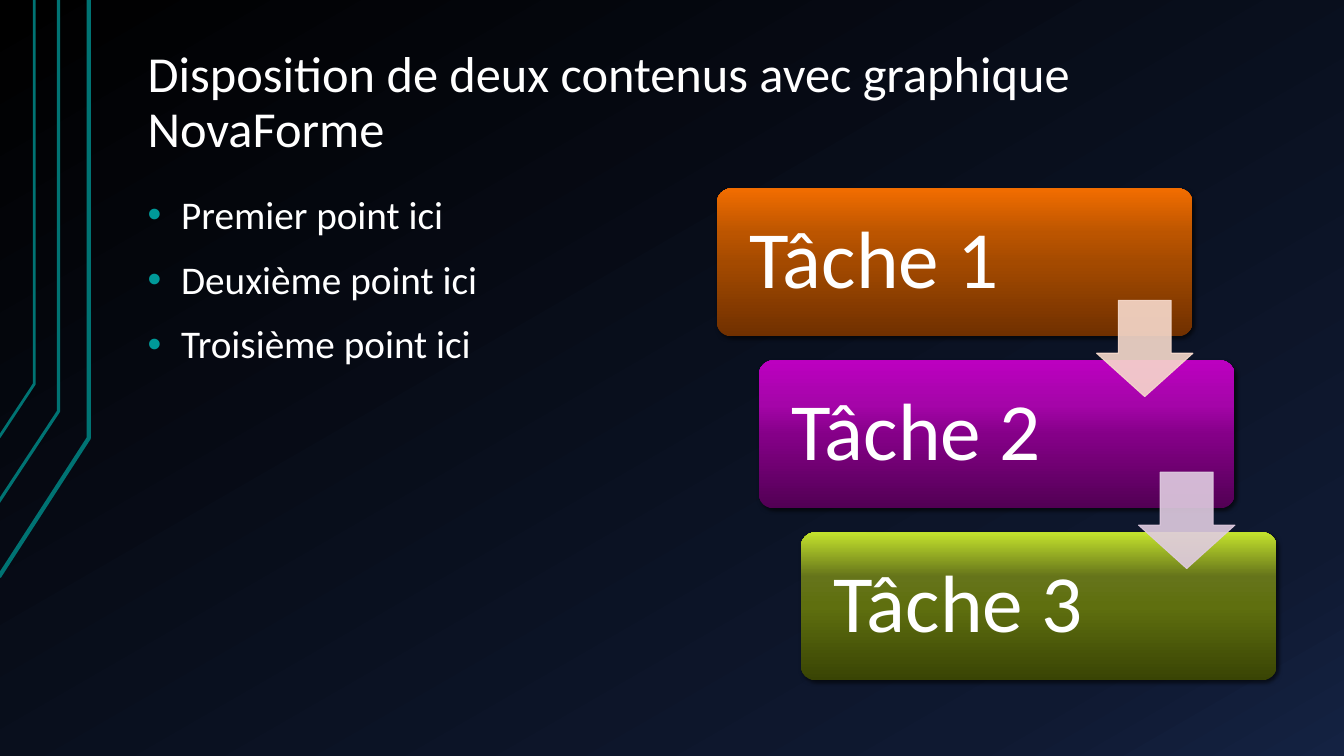
import pptx
import pptx.dml.color
import pptx.enum.shapes
import pptx.enum.text
import pptx.oxml
import pptx.oxml.ns
import pptx.util
from lxml import etree

Pt = pptx.util.Pt
qn = pptx.oxml.ns.qn
Shapes = pptx.enum.shapes.MSO_SHAPE
Anchor = pptx.enum.text.MSO_ANCHOR
WHITE, TEAL, BULLET = "FFFFFF", "007373", "009999"


def color(code):
    return pptx.dml.color.RGBColor.from_string(code)


def add_node(parent, tag, **attributes):
    node = etree.SubElement(parent, qn(tag))
    for name, value in attributes.items():
        node.set(name, str(value))
    return node


def set_alpha(holder, percent):
    for code in holder.iter(qn("a:srgbClr")):
        add_node(code, "a:alpha", val=percent * 1000)


def paint_gradient(fill, owner, stops, angle):
    fill.gradient()
    gradient = next(owner.iter(qn("a:gradFill")))
    stop_list = gradient.find(qn("a:gsLst"))
    for stop in list(stop_list):
        stop_list.remove(stop)
    for position, code in stops:
        stop = add_node(stop_list, "a:gs", pos=position * 1000)
        add_node(stop, "a:srgbClr", val=code)
    gradient.find(qn("a:lin")).set("ang", str(angle * 60000))


class Painter:
    font = "Calibri"

    def __init__(self, page):
        self.page = page

    def background(self, stops, angle):
        paint_gradient(self.page.background.fill, self.page.element, stops, angle)

    def fill_text(self, shape, lines, size, anchor, insets, bullet=None):
        frame = shape.text_frame
        frame.word_wrap = True
        frame.vertical_anchor = anchor
        frame.margin_left = frame.margin_right = Pt(insets[0])
        frame.margin_top = frame.margin_bottom = Pt(insets[1])
        for index, line in enumerate(lines):
            para = frame.add_paragraph() if index else frame.paragraphs[0]
            para.alignment = pptx.enum.text.PP_ALIGN.LEFT
            para.line_spacing = 0.9
            if bullet:
                para.space_before = Pt(16)
                properties = para._p.get_or_add_pPr()
                properties.set("marL", str(Pt(24)))
                properties.set("indent", str(-Pt(24)))
                add_node(add_node(properties, "a:buClr"), "a:srgbClr", val=bullet)
                add_node(properties, "a:buFont", typeface="Arial")
                add_node(properties, "a:buChar", char="•")
            span = para.add_run()
            span.text = line
            span.font.name = self.font
            span.font.size = Pt(size)
            span.font.color.rgb = color(WHITE)

    def text(self, place, lines, size, anchor, bullet=None):
        box = self.page.shapes.add_textbox(*map(Pt, place))
        self.fill_text(box, lines, size, anchor, (9.4, 5), bullet)

    def polyline(self, points, width):
        start, *others = [(Pt(x), Pt(y)) for x, y in points]
        builder = self.page.shapes.build_freeform(*start)
        builder.add_line_segments(others, close=False)
        shape = builder.convert_to_shape()
        shape.shadow.inherit = False
        shape.fill.background()
        shape.line.color.rgb = color(TEAL)
        shape.line.width = Pt(width)

    def preset(self, kind, place, adjustments):
        shape = self.page.shapes.add_shape(kind, *map(Pt, place))
        shape.shadow.inherit = False
        for index, value in enumerate(adjustments):
            shape.adjustments[index] = value
        return shape

    def task(self, place, label, shades):
        box = self.preset(Shapes.ROUNDED_RECTANGLE, place, [0.1])
        box.line.fill.background()
        stops = zip((0, 50, 70, 100), shades)
        paint_gradient(box.fill, box.element, stops, 270)
        effects = box.element.spPr.find(qn("a:effectLst"))
        shadow = add_node(effects, "a:outerShdw", blurRad=Pt(3), dist=Pt(2),
                          dir=45 * 60000, algn="ctr", rotWithShape=0)
        add_node(shadow, "a:srgbClr", val="000000")
        set_alpha(shadow, 60)
        self.fill_text(box, [label], 58, Anchor.MIDDLE, (20.4, 0))

    def arrow(self, place, code):
        arrow = self.preset(Shapes.DOWN_ARROW, place, [0.55, 0.45])
        arrow.fill.solid()
        arrow.fill.fore_color.rgb = color(code)
        arrow.line.color.rgb = color(code)
        arrow.line.width = Pt(0.75)
        set_alpha(arrow.element.spPr, 90)


deck = pptx.Presentation()
deck.slide_width, deck.slide_height = Pt(960), Pt(540)
painter = Painter(deck.slides.add_slide(deck.slide_layouts[6]))
painter.background([(0, "000000"), (85, "0F1931"), (100, "142242")], 60)

for left, bottom, right, bend, width in [
    (-0.7, 412, 63.4, 313, 3),
    (-1.4, 359.3, 41.8, 293.8, 2.25),
    (-0.7, 312.5, 24.5, 274.3, 2),
]:
    painter.polyline([(left, bottom), (right, bend), (right, 0)], width)

painter.text((96, 21.6, 816, 96.5),
             ["Disposition de deux contenus avec graphique NovaForme"],
             36, Anchor.BOTTOM)
painter.text((96, 134.6, 399.6, 351.4),
             [f"{rank} point ici" for rank in ("Premier", "Deuxième", "Troisième")],
             28, Anchor.TOP, BULLET)

STEP_X, STEP_Y = 30, 122.8
tasks = [
    ("703000", "A44A00", "BC5500", "F26D00"),
    ("520054", "850088", "A505A9", "BC00C0"),
    ("394404", "5F6F0F", "65741A", "C4E32D"),
]
for index, shades in enumerate(tasks):
    place = (512 + index * STEP_X, 134.6 + index * STEP_Y, 340, 105.8)
    painter.task(place, f"Tâche\u00a0{index + 1}", shades)
for index, code in enumerate(["F7DACC", "E0CCE1"]):
    painter.arrow((783.3 + index * STEP_X, 214.5 + index * STEP_Y, 68.8, 68.8), code)

deck.save("out.pptx")
